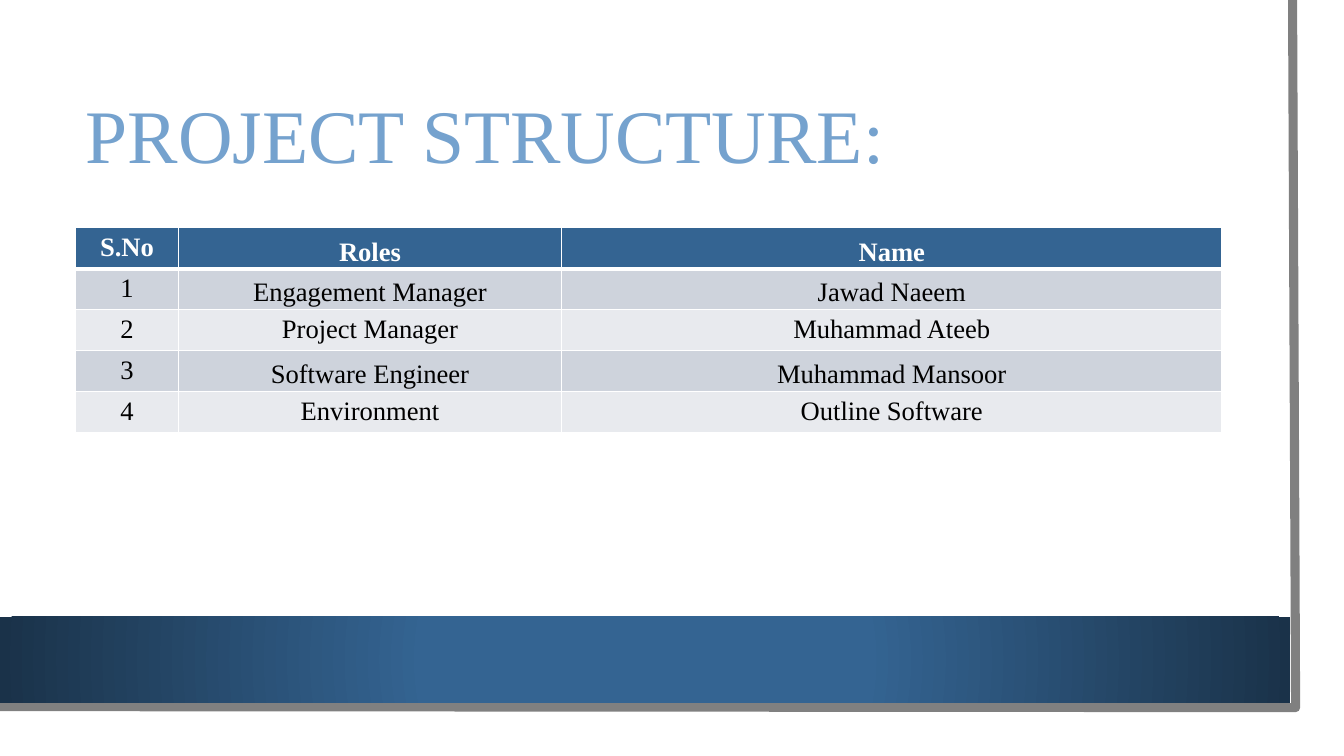
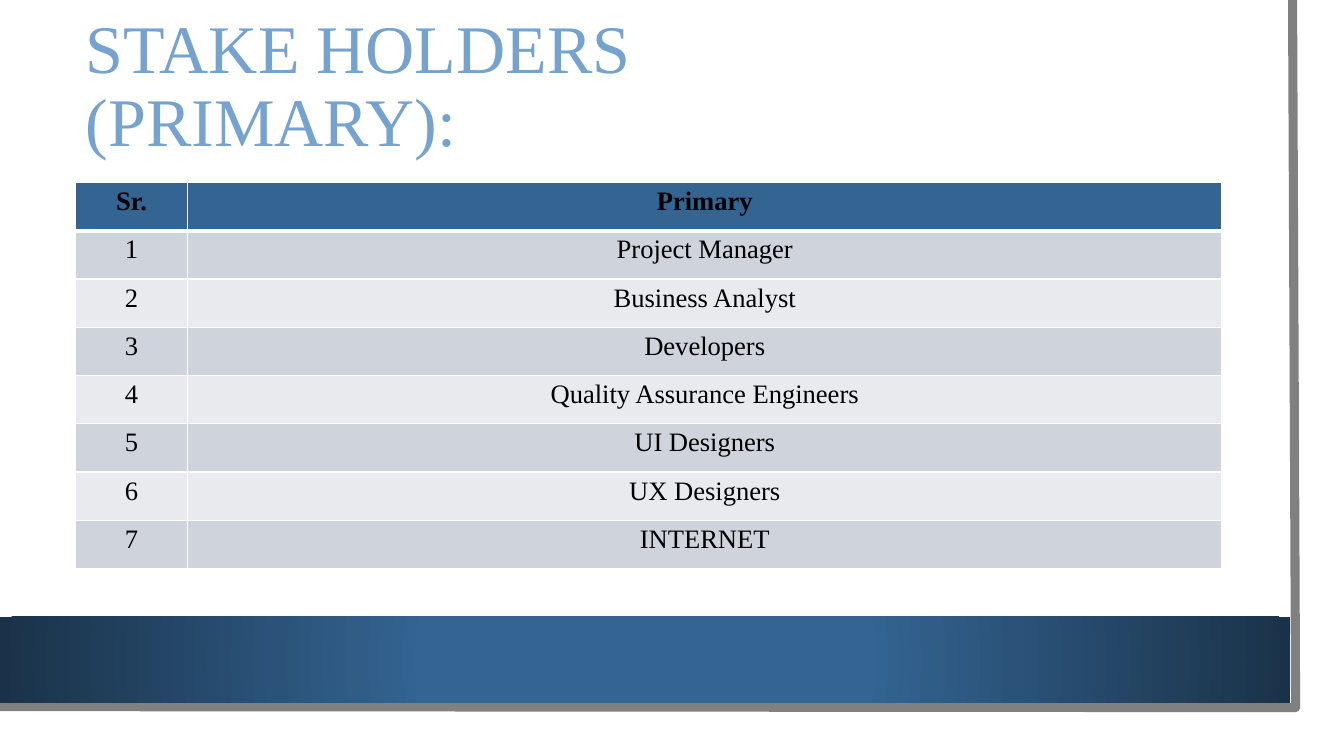
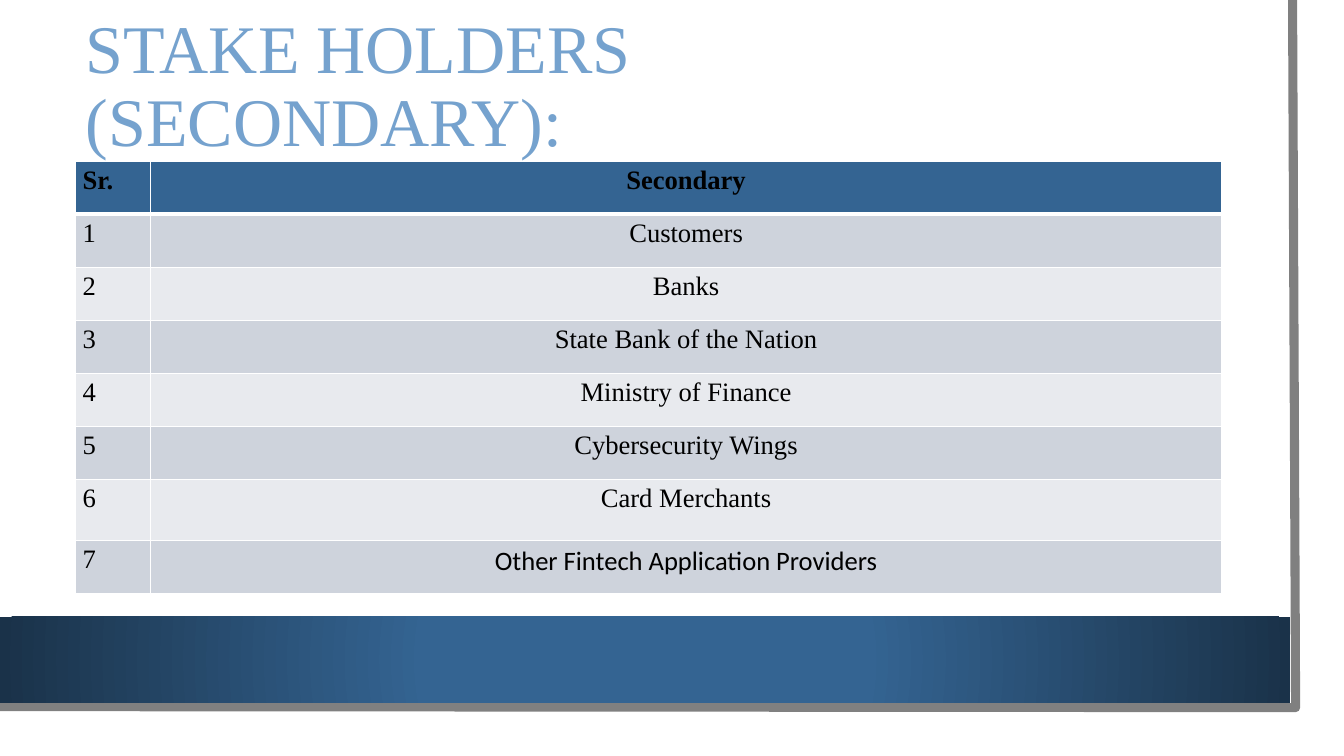
from pptx import Presentation
from pptx.dml.color import RGBColor
from pptx.enum.shapes import MSO_SHAPE
from pptx.enum.text import MSO_ANCHOR, MSO_AUTO_SIZE, PP_ALIGN
from pptx.oxml import parse_xml
from pptx.oxml.ns import nsdecls
from pptx.util import Inches, Pt

COLORS = {
    "white": "FFFFFF", "black": "000000", "edge": "808080", "blue": "346492",
    "navy": "1A3249", "title": "75A2CE", "odd": "CED3DC", "even": "E8EAEE",
}
SERIF = "Times New Roman"
LEFT, WIDTH = 0.75, 11.37


def color(name):
    """Return the named colour."""
    return RGBColor.from_string(COLORS[name])


def write(frame, text, *, size, fill="black", font=SERIF, bold=False,
          align=PP_ALIGN.LEFT, spacing=None, after=0):
    """Write one formatted paragraph into a text frame."""
    para = frame.paragraphs[0]
    para.text = text
    para.alignment = align
    para.line_spacing = spacing
    para.space_after = Pt(after)
    for span in para.runs:
        span.font.size = Pt(size)
        span.font.name = font
        span.font.bold = bold
        span.font.color.rgb = color(fill)


def add_panel(page, left, top, width, height):
    """Add a plain white rectangle."""
    panel = page.shapes.add_shape(
        MSO_SHAPE.RECTANGLE, Inches(left), Inches(top), Inches(width), Inches(height))
    panel.shadow.inherit = False
    panel.fill.solid()
    panel.fill.fore_color.rgb = color("white")
    panel.line.fill.background()
    return panel


def add_edge(page):
    """Add the grey line along the right and lower edges of the sheet."""
    builder = page.shapes.build_freeform(Inches(12.82), 0)
    builder.add_line_segments(
        [(Inches(12.85), Inches(7.02)), (Inches(-0.03), Inches(7.01))], close=False)
    edge = builder.convert_to_shape()
    edge.shadow.inherit = False
    edge.fill.background()
    edge.line.color.rgb = color("edge")
    edge.line.width = Pt(6.5)
    return edge


def add_band(page):
    """Add the lower band with its radial gradient."""
    band = add_panel(page, 0, 6.12, 12.8, 0.85)
    stops = "".join(
        f'<a:gs pos="{place}"><a:srgbClr val="{COLORS[name]}"/></a:gs>'
        for place, name in ((34000, "blue"), (100000, "navy")))
    gradient = parse_xml(
        f'<a:gradFill {nsdecls("a")} rotWithShape="1"><a:gsLst>{stops}</a:gsLst>'
        '<a:path path="circle"><a:fillToRect l="50000" t="50000" r="50000" b="50000"/>'
        '</a:path></a:gradFill>')
    properties = band.element.spPr
    properties.replace(properties.find("{*}solidFill"), gradient)
    return band


def decorate_layout(layout, page):
    """Draw the shared sheet, edge and band and move them to the layout."""
    parts = (add_panel(page, 0, 0, 13.1, 7.27), add_edge(page), add_band(page))
    for index, part in enumerate(parts, start=2):
        layout.shapes.element.insert(index, part.element)


def set_title(page, text, *, top, height, size, anchor):
    """Place and format the title placeholder."""
    title = page.shapes.title
    title.left, title.top = Inches(LEFT), Inches(top)
    title.width, title.height = Inches(WIDTH), Inches(height)
    frame = title.text_frame
    frame.auto_size = MSO_AUTO_SIZE.NONE
    frame.word_wrap = True
    frame.vertical_anchor = anchor
    if anchor == MSO_ANCHOR.BOTTOM:
        frame.margin_bottom = 0
    write(frame, text, size=size, fill="title", spacing=0.9)


def set_margins(cell, side, end):
    """Set the side and end margins of a cell."""
    cell.margin_left = cell.margin_right = Inches(side)
    cell.margin_top = cell.margin_bottom = Inches(end)


def set_borders(cell, row):
    """Give a cell white borders, thicker below the header."""
    properties = cell._tc.get_or_add_tcPr()
    for side in "LRTB":
        points = 3 if (row, side) in ((0, "B"), (1, "T")) else 1
        properties.append(parse_xml(
            f'<a:ln{side} {nsdecls("a")} w="{Pt(points)}"><a:solidFill>'
            f'<a:srgbClr val="{COLORS["white"]}"/></a:solidFill></a:ln{side}>'))


def add_grid(page, rows, *, top, height, columns, tall=None, header="black",
             margins=(0.07, 0), low_rows=(), number_align=PP_ALIGN.CENTER,
             fonts=None, **text_format):
    """Add a banded table whose rows share the height left by tall rows."""
    tall, fonts = tall or {}, fonts or {}
    grid = page.shapes.add_table(
        len(rows), len(columns), Inches(LEFT), Inches(top),
        Inches(WIDTH), Inches(height)).table
    for column, width in zip(grid.columns, columns):
        column.width = Inches(width)
    shared = (height - sum(tall.values())) / (len(rows) - len(tall))
    for row, values in enumerate(rows):
        grid.rows[row].height = Inches(tall.get(row, shared))
        band = "blue" if row == 0 else "odd" if row % 2 else "even"
        for index, value in enumerate(values):
            cell = grid.cell(row, index)
            set_margins(cell, *margins)
            if index and row in low_rows:
                set_margins(cell, 0.01, 0.02)
                cell.vertical_anchor = MSO_ANCHOR.BOTTOM
            set_borders(cell, row)
            cell.fill.solid()
            cell.fill.fore_color.rgb = color(band)
            write(cell.text_frame, value, size=19, bold=row == 0,
                  fill="black" if row else header,
                  font=fonts.get(value, SERIF),
                  align=PP_ALIGN.CENTER if index else number_align, **text_format)


def build_structure(page):
    """Build the project structure slide."""
    set_title(page, "PROJECT STRUCTURE:", top=0.75, height=1.26, size=54,
              anchor=MSO_ANCHOR.MIDDLE)
    rows = [
        ("S.No", "Roles", "Name"),
        ("1", "Engagement Manager", "Jawad Naeem"),
        ("2", "Project Manager", "Muhammad Ateeb"),
        ("3", "Software Engineer", "Muhammad Mansoor"),
        ("4", "Environment", "Outline Software"),
    ]
    add_grid(page, rows, top=2.26, height=2.03, columns=(1.02, 3.8, 6.55),
             header="white", margins=(0.1, 0.05), low_rows=(0, 1, 3))


def build_stakeholders(page, group, names, **grid_format):
    """Build a slide listing one group of stakeholders."""
    set_title(page, f"STAKE HOLDERS\n({group.upper()}):", top=0.87, height=0.73,
              size=48.6, anchor=MSO_ANCHOR.BOTTOM)
    rows = [("Sr.", group)]
    rows += [(str(number), name) for number, name in enumerate(names, start=1)]
    add_grid(page, rows, spacing=1.15, after=8, **grid_format)


def main():
    """Build and save the deck."""
    deck = Presentation()
    deck.slide_width, deck.slide_height = Inches(13.33), Inches(7.5)
    layout = deck.slide_layouts.get_by_name("Title Only")
    structure, primary, secondary = [deck.slides.add_slide(layout) for _ in range(3)]
    decorate_layout(layout, structure)
    build_structure(structure)
    build_stakeholders(
        primary, "Primary",
        ["Project Manager", "Business Analyst", "Developers",
         "Quality Assurance Engineers", "UI Designers", "UX Designers", "INTERNET"],
        top=1.81, height=3.83, columns=(1.11, 10.26))
    providers = "Other Fintech Application Providers"
    build_stakeholders(
        secondary, "Secondary",
        ["Customers", "Banks", "State Bank of the Nation", "Ministry of Finance",
         "Cybersecurity Wings", "Card Merchants", providers],
        top=1.6, height=4.29, columns=(0.74, 10.63), tall={6: 0.61},
        number_align=PP_ALIGN.LEFT, fonts={providers: "Calibri"})
    deck.save("out.pptx")


if __name__ == "__main__":
    main()
